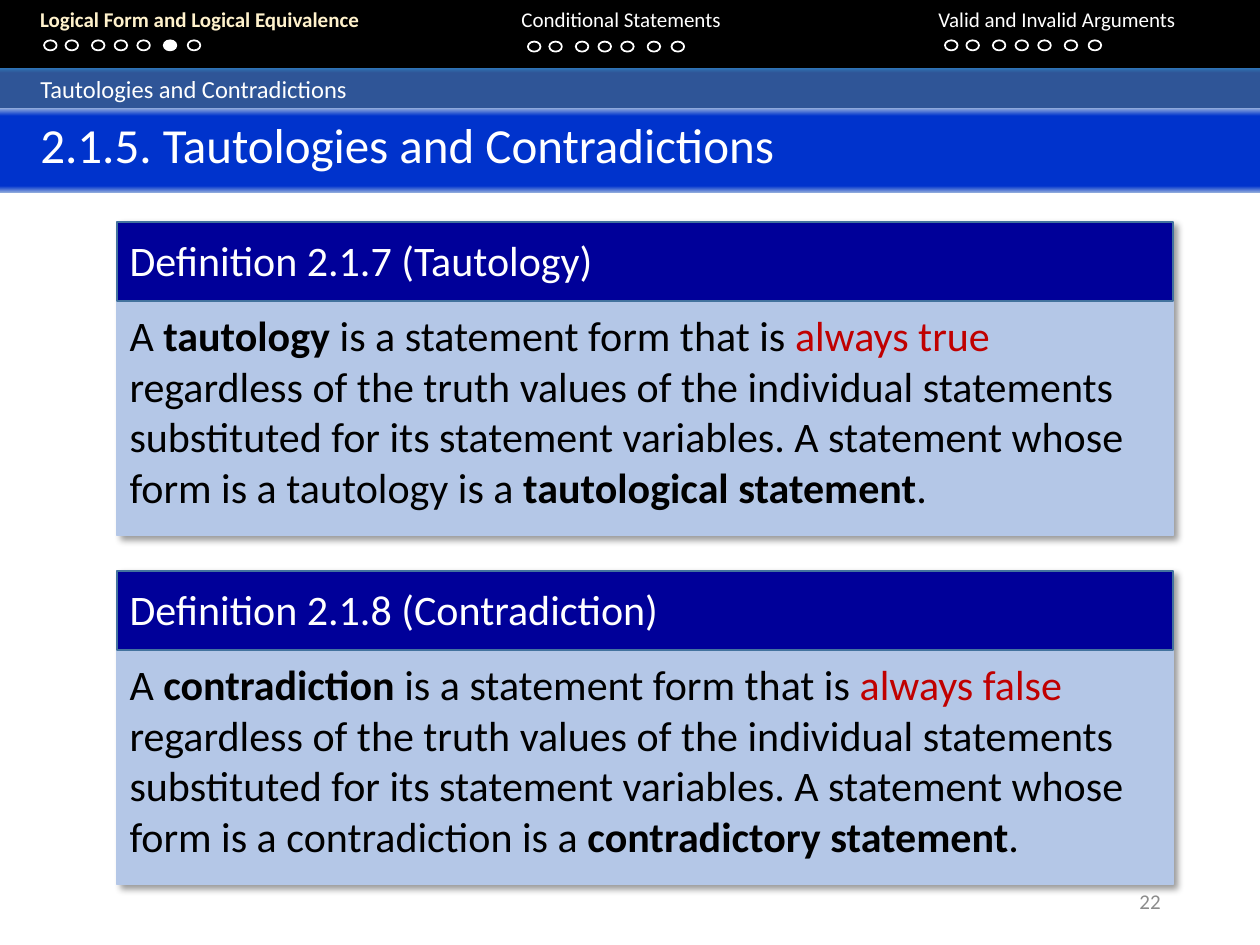
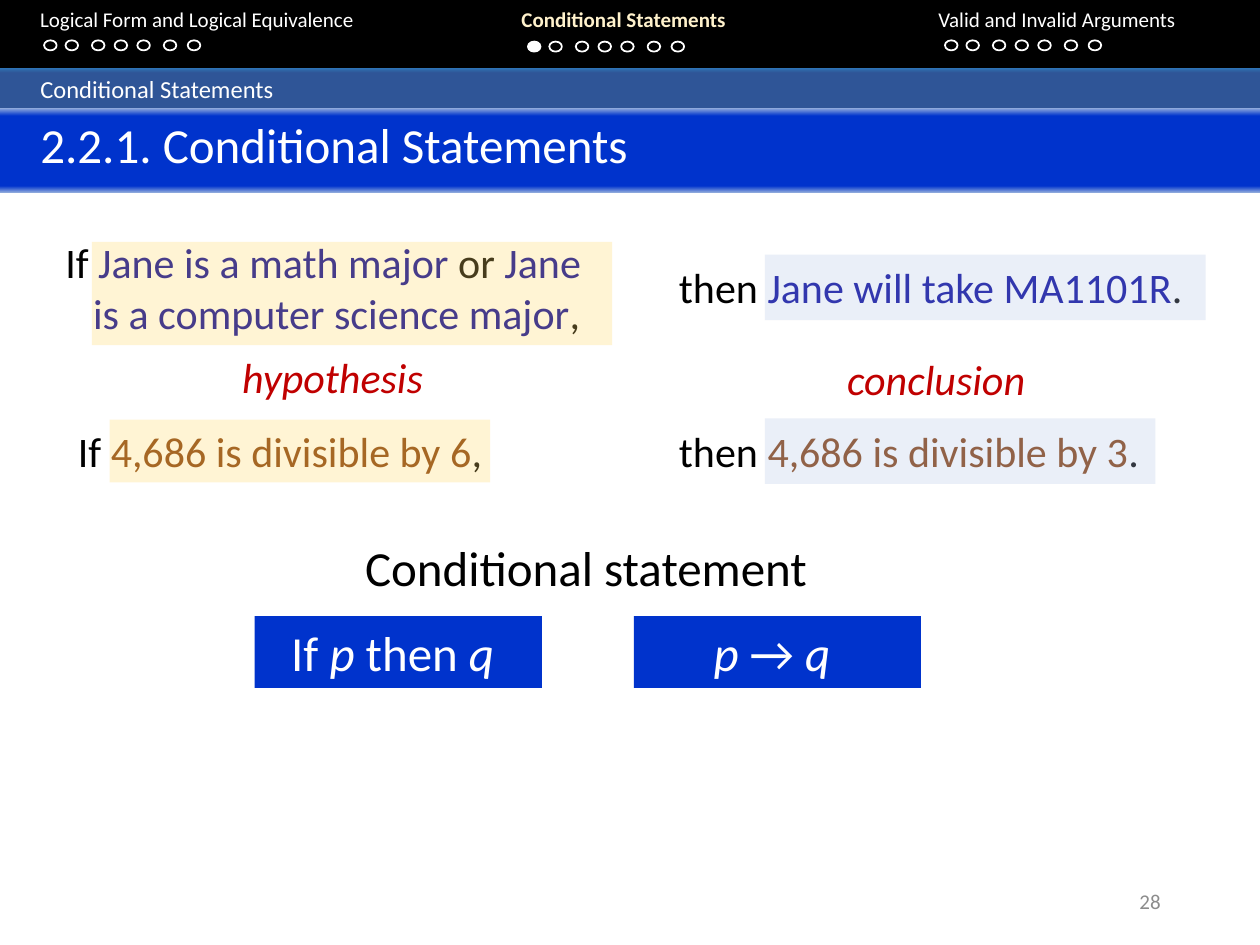
from dataclasses import dataclass
from lxml.etree import SubElement
from pptx import Presentation
from pptx.dml.color import RGBColor
from pptx.enum.shapes import MSO_SHAPE
from pptx.enum.text import MSO_ANCHOR, PP_ALIGN
from pptx.oxml.ns import qn
from pptx.util import Inches, Pt


@dataclass(frozen=True)
class Theme:
    """Colours, font and type sizes of the deck."""
    font: str = "Calibri"
    black: str = "000000"
    white: str = "FFFFFF"
    cream: str = "FFF2CC"
    grey: str = "8C8C8C"
    blue: str = "0033CC"
    navy: str = "000099"
    edge: str = "43739E"
    pale: str = "B4C7E7"
    gold: str = "FFD966"
    red: str = "C00000"
    brown: str = "843C0B"
    bar: tuple = ((0, "2E75B6"), (11, "2F5597"), (91, "2F5597"), (100, "2E75B6"))
    head: tuple = ((0, "8FAADC"), (9, "0033CC"), (92, "0033CC"), (100, "8FAADC"))
    small: int = 12
    label: int = 14
    body: int = 24
    large: int = 28


T = Theme()
PARTS = ("Logical Form and Logical Equivalence", "Conditional Statements",
         "Valid and Invalid Arguments")
TABS = (0.22, 4.04, 7.35)
ROWS = ((0.35, 0.32), (4.19, 0.33), (7.5, 0.32))
STEPS = (0, 0.17, 0.38, 0.56, 0.74, 0.95, 1.14)
BOLD = {"bold": True}
SLANT = {"italic": True}
RED = {"color": T.red}
NAVY = {"color": T.navy}
BROWN = {"color": T.brown}


def put(item, values):
    """Set attributes of item from a dict."""
    for name, value in values.items():
        setattr(item, name, value)


def place(item, at):
    """Move and size item, with at in inches."""
    put(item, dict(zip(("left", "top", "width", "height"), map(Inches, at))))


def write(frame, paras, size, color, **form):
    """Fill a text frame; each paragraph is a list of texts or (text, format)."""
    put(frame, {"word_wrap": True, "vertical_anchor": MSO_ANCHOR.TOP})
    for num, runs in enumerate(paras):
        para = frame.add_paragraph() if num else frame.paragraphs[0]
        put(para, {"alignment": PP_ALIGN.LEFT, **form})
        for piece in runs:
            text, look = (piece, {}) if isinstance(piece, str) else piece
            look = {"color": color, **look}
            run = para.add_run()
            run.text = text
            run.font.color.rgb = RGBColor.from_string(look.pop("color"))
            put(run.font, {"name": T.font, "size": Pt(size), **look})


def words(shapes, at, paras, size=T.body, color=T.black, **form):
    """Add a text box."""
    frame = shapes.add_textbox(*map(Inches, at)).text_frame
    write(frame, paras, size, color, **form)
    return frame


def block(shapes, at, fill=None, line=None, kind=MSO_SHAPE.RECTANGLE, alpha=None):
    """Add a preset shape with a plain fill and outline."""
    shape = shapes.add_shape(kind, *map(Inches, at))
    shape.shadow.inherit = False
    if fill:
        shape.fill.solid()
        shape.fill.fore_color.rgb = RGBColor.from_string(fill)
    else:
        shape.fill.background()
    if alpha:
        tint = shape._element.spPr.find(qn("a:solidFill"))[0]
        SubElement(tint, qn("a:alpha"), val=str(alpha * 1000))
    if line:
        shape.line.color.rgb = RGBColor.from_string(line)
        shape.line.width = Pt(1)
    else:
        shape.line.fill.background()
    return shape


def blend(shape, stops):
    """Give shape a gradient that runs from top to bottom."""
    shape.fill.gradient()
    shape.fill.gradient_angle = 270
    group = shape._element.spPr.find(qn("a:gradFill")).find(qn("a:gsLst"))
    for old in list(group):
        group.remove(old)
    for spot, color in stops:
        stop = SubElement(group, qn("a:gs"), pos=str(spot * 1000))
        SubElement(stop, qn("a:srgbClr"), val=color)


def shade(shape):
    """Add a soft shadow to the lower right."""
    group = shape._element.spPr.find(qn("a:effectLst"))
    drop = SubElement(group, qn("a:outerShdw"), blurRad=str(Pt(4)),
                      dist=str(Pt(3)), dir="2700000", algn="tl", rotWithShape="0")
    color = SubElement(drop, qn("a:srgbClr"), val=T.black)
    SubElement(color, qn("a:alpha"), val="40000")


def band(shape, stops, text, size):
    """Turn shape into a full-width gradient band with a label."""
    blend(shape, stops)
    shape.text_frame.margin_left = Inches(0.32)
    write(shape.text_frame, [[text]], size, T.white)


def trail(shapes, part, step):
    """Draw the top bar: section names and dots, the current ones marked."""
    block(shapes, (0, -0.02, 10, 0.56), T.black)
    runs = []
    for num, name in enumerate(PARTS):
        look = {"bold": True, "color": T.cream} if num == part else {}
        runs += ["\t", (name, look)]
    frame = words(shapes, (0, 0, 10, 0.5), [runs], T.small, T.white)
    stops = SubElement(frame.paragraphs[0]._p.get_or_add_pPr(), qn("a:tabLst"))
    for tab in TABS:
        SubElement(stops, qn("a:tab"), pos=str(Inches(tab)), algn="l")
    for num, (left, top) in enumerate(ROWS):
        for spot, gap in enumerate(STEPS):
            fill = T.white if (num, spot) == (part, step) else None
            block(shapes, (left + gap, top, 0.1, 0.08), fill, T.white, MSO_SHAPE.OVAL)


def start(deck, part, step, topic, code, page):
    """Add a slide with its bars, title and page number; return its shapes."""
    shapes = deck.slides.add_slide(deck.slide_layouts[5]).shapes
    trail(shapes, part, step)
    band(block(shapes, (0, 0.54, 10, 0.36), T.blue), T.bar, topic, T.label)
    title = shapes.title
    place(title, (0, 0.86, 10, 0.67))
    band(title, T.head, f"{code} {topic}", T.large)
    title._element.getparent().append(title._element)
    frame = words(shapes, (7.06, 6.95, 2.25, 0.4), [[page]], T.small, T.grey,
                  alignment=PP_ALIGN.RIGHT)
    frame.vertical_anchor = MSO_ANCHOR.MIDDLE
    return shapes


def card(shapes, top, code, term, kind, truth):
    """Add a grouped definition card."""
    items = shapes.add_group_shape().shapes
    shade(block(items, (0.93, top, 8.38, 2.49), T.pale, T.pale))
    block(items, (0.93, top, 8.38, 0.63), T.navy, T.edge)
    words(items, (0.93, top + 0.05, 8.24, 0.5),
          [[f"Definition {code} ({term.title()})"]], color=T.white)
    words(items, (0.93, top + 0.65, 8.24, 1.72), [[
        "A ", (f"{term} ", BOLD), "is a statement form that is ",
        (f"always {truth} ", RED),
        "regardless of the truth values of the individual statements substituted "
        f"for its statement variables. A statement whose form is a {term} is a ",
        (f"{kind} statement", BOLD), "."]], space_after=Pt(6))


def terms(deck):
    """Build the slide with the two definitions."""
    shapes = start(deck, 0, 5, "Tautologies and Contradictions", "2.1.5.", "22")
    card(shapes, 1.76, "2.1.7", "tautology", "tautological", "true")
    card(shapes, 4.53, "2.1.8", "contradiction", "contradictory", "false")


def claims(deck):
    """Build the slide on if-then statements."""
    shapes = start(deck, 1, 0, "Conditional Statements", "2.2.1.", "28")
    mid = {"alignment": PP_ALIGN.CENTER}
    frame = words(shapes, (0.42, 1.83, 4.44, 0.91), [
        ["If ", ("Jane is a math major ", NAVY), "or ", ("Jane", NAVY)],
        [("is a computer science major", NAVY), ","]])
    frame.paragraphs[1]._p.get_or_add_pPr().set("marL", str(Inches(0.22)))
    for at, lead, claim, look, end in (
            ((0.52, 3.33, 3.6, 0.5), "If ", "4,686 is divisible by 6", BROWN, ","),
            ((5.29, 2.03, 4.27, 0.5), "then ", "Jane will take MA1101R", NAVY, "."),
            ((5.29, 3.33, 4.04, 0.5), "then ", "4,686 is divisible by 3", BROWN, ".")):
        words(shapes, at, [[lead, (claim, look), end]])
    for at, color in (((0.73, 1.92, 4.13, 0.82), T.gold),
                      ((0.87, 3.33, 3.02, 0.5), T.gold),
                      ((6.07, 2.02, 3.5, 0.52), T.pale),
                      ((6.07, 3.32, 3.1, 0.52), T.pale)):
        block(shapes, at, color, alpha=28)
    for left, top, name in ((1.69, 2.74, "hypothesis"), (6.48, 2.76, "conclusion")):
        words(shapes, (left, top, 1.9, 0.5), [[(name, SLANT)]], color=T.red, **mid)
    words(shapes, (2.59, 4.22, 4.12, 0.57), [["Conditional statement"]], T.large, **mid)
    for left, runs in ((2.02, ["If ", ("p", SLANT), " then ", ("q ", SLANT)]),
                       (5.03, [("p ", SLANT), "→ ", ("q ", SLANT)])):
        box = block(shapes, (left, 4.89, 2.28, 0.57), T.blue)
        write(box.text_frame, [runs], T.large, T.white, **mid)


def main():
    """Build and save the deck."""
    deck = Presentation()
    put(deck, {"slide_width": Inches(10), "slide_height": Inches(7.5)})
    terms(deck)
    claims(deck)
    deck.save("out.pptx")


main()
